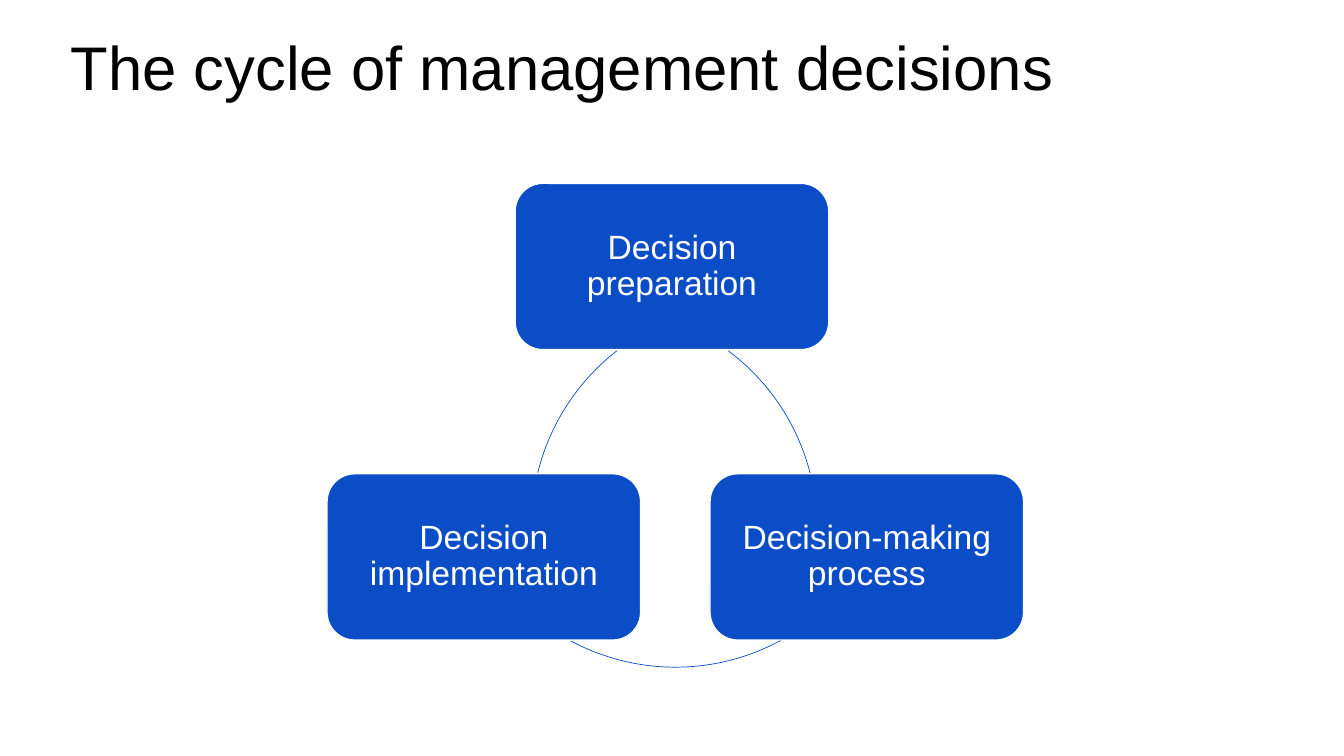
from dataclasses import dataclass
from typing import Any

from pptx import Presentation
from pptx.dml.color import RGBColor
from pptx.enum.shapes import MSO_SHAPE as Shape
from pptx.enum.text import MSO_ANCHOR as Anchor, PP_ALIGN as Align
from pptx.util import Emu, Inches, Pt


@dataclass(frozen=True)
class Theme:
    font: str = "Arial"
    black: RGBColor = RGBColor(0x00, 0x00, 0x00)
    white: RGBColor = RGBColor(0xFF, 0xFF, 0xFF)
    blue: RGBColor = RGBColor(0x0B, 0x4D, 0xC7)
    title_size: Pt = Pt(44)
    step_size: Pt = Pt(24)
    box_line: Pt = Pt(1)
    arc_line: Pt = Pt(0.5)
    line_spacing: float = 0.9


@dataclass(frozen=True)
class Step:
    """A box of the cycle, centred on a grid point."""
    text: str
    col: float
    row: float


@dataclass(frozen=True)
class Arc:
    """A link between steps: circle centre on the grid, angles in degrees."""
    col: float
    row: float
    start: float
    end: float


THEME = Theme()
WIDTH, HEIGHT = Inches(13.33), Inches(7.5)
COL, ROW = WIDTH / 12, HEIGHT / 12
BOX_W, BOX_H = 2.8 * COL, 2.64 * ROW
CIRCLE = 3.95 * COL
DEGREE = 0.6  # adjustment value of one degree

STEPS = (
    Step("Decision preparation", 6, 4.23),
    Step("Decision-making process", 7.74, 8.84),
    Step("Decision implementation", 4.32, 8.84),
)
ARCS = (
    Arc(5.32, 8.38, 306.8, 345.6),
    Arc(6.03, 7.08, 61.6, 118.4),
    Arc(6.72, 8.34, 193.8, 232.2),
)


def apply(target: Any, values: dict[str, Any]) -> None:
    for name, value in values.items():
        setattr(target, name, value)


def write(shape: Any, text: str, size: Pt, color: RGBColor,
          align: Align, anchor: Anchor) -> None:
    tf = shape.text_frame
    tf.text = text
    apply(tf, {"word_wrap": True, "vertical_anchor": anchor})
    p = tf.paragraphs[0]
    apply(p, {"alignment": align, "line_spacing": THEME.line_spacing})
    font = p.runs[0].font
    apply(font, {"name": THEME.font, "size": size})
    font.color.rgb = color


def add_centred(s: Any, kind: Shape, col: float, row: float,
                w: float, h: float, color: RGBColor, line: Pt) -> Any:
    left, top = col * COL - w / 2, row * ROW - h / 2
    sp = s.shapes.add_shape(kind, *(Emu(round(v)) for v in (left, top, w, h)))
    sp.shadow.inherit = False
    sp.line.color.rgb = color
    sp.line.width = line
    return sp


def add_step(s: Any, step: Step) -> None:
    sp = add_centred(s, Shape.ROUNDED_RECTANGLE, step.col, step.row,
                     BOX_W, BOX_H, THEME.white, THEME.box_line)
    sp.fill.solid()
    sp.fill.fore_color.rgb = THEME.blue
    sides = ("left", "top", "right", "bottom")
    apply(sp.text_frame, {f"margin_{side}": Inches(0.1) for side in sides})
    write(sp, step.text, THEME.step_size, THEME.white, Align.CENTER, Anchor.MIDDLE)


def add_arc(s: Any, arc: Arc) -> None:
    sp = add_centred(s, Shape.ARC, arc.col, arc.row,
                     CIRCLE, CIRCLE, THEME.blue, THEME.arc_line)
    sp.fill.background()
    for i, angle in enumerate((arc.start, arc.end)):
        sp.adjustments[i] = angle * DEGREE


def main() -> None:
    prs = Presentation()
    apply(prs, {"slide_width": WIDTH, "slide_height": HEIGHT})
    s = prs.slides.add_slide(prs.slide_layouts[5])

    # Title
    title = s.shapes.title
    apply(title, {"left": Emu(round(0.54 * COL)), "top": Emu(round(0.51 * ROW)),
                  "width": Emu(round(10.94 * COL)), "height": Emu(round(2.32 * ROW))})
    write(title, "The cycle of management decisions", THEME.title_size,
          THEME.black, Align.LEFT, Anchor.TOP)

    # Cycle: each step and the arc that goes with it
    for step, arc in zip(STEPS, ARCS):
        add_step(s, step)
        add_arc(s, arc)

    prs.save("out.pptx")


if __name__ == "__main__":
    main()
